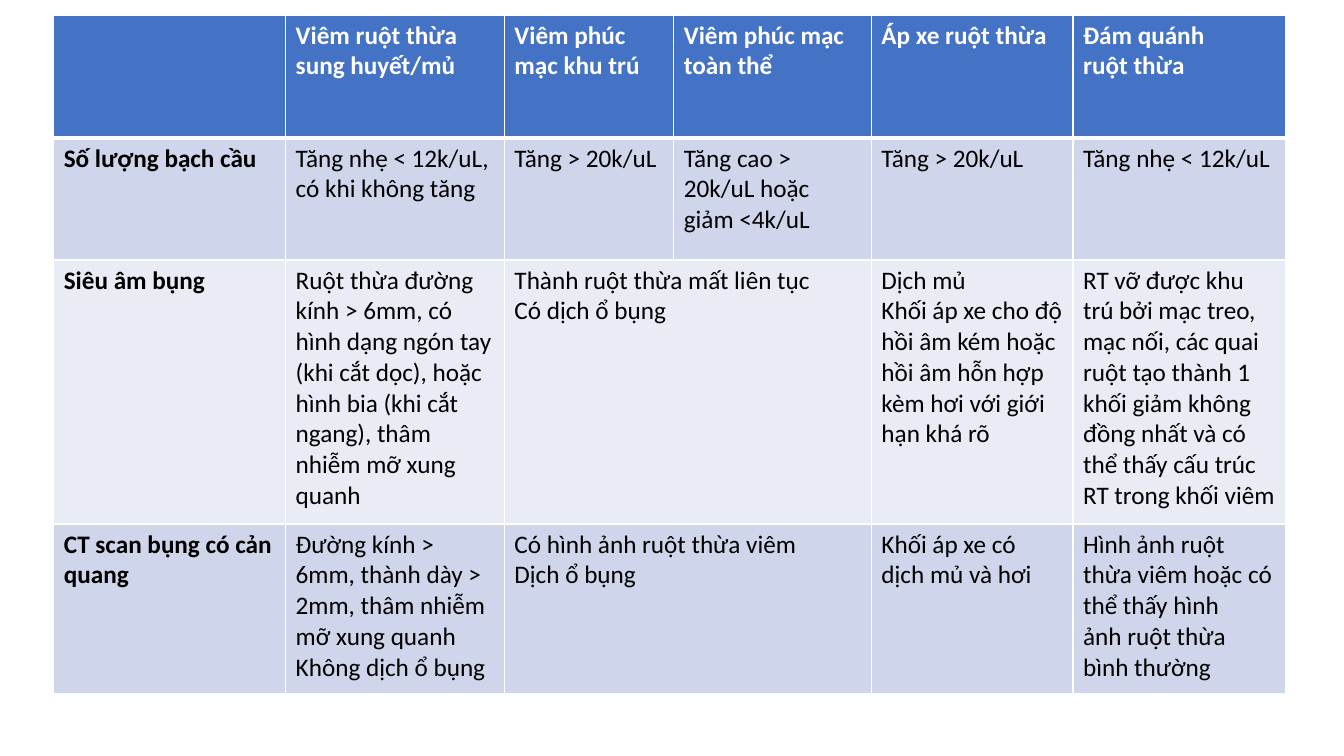
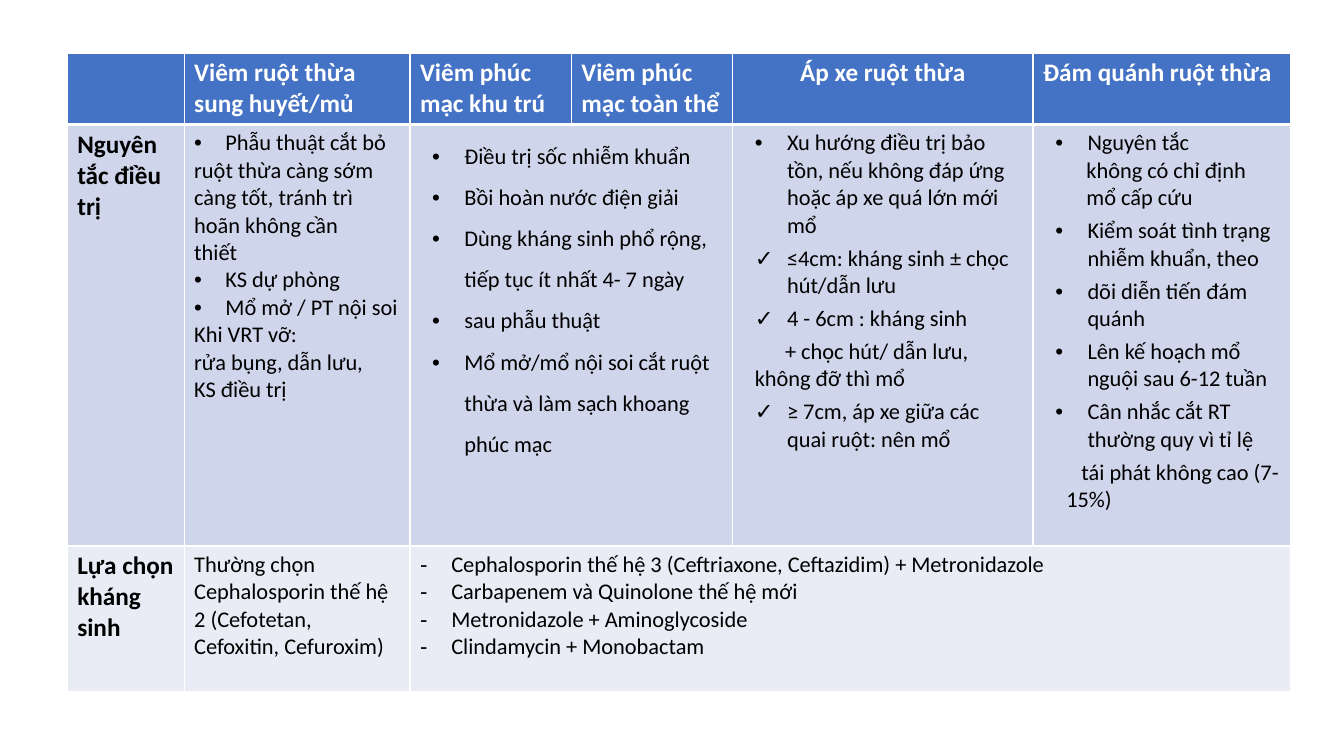
from dataclasses import dataclass

from lxml.etree import SubElement
from pptx import Presentation
from pptx.dml.color import RGBColor
from pptx.enum.text import PP_ALIGN as Align
from pptx.oxml.ns import qn
from pptx.util import Inches, Pt

W, H = 13.33, 7.5
FONT = "Calibri"
WHITE = RGBColor(0xFF, 0xFF, 0xFF)
BLACK = RGBColor(0x00, 0x00, 0x00)
HEADER = RGBColor(0x44, 0x72, 0xC4)
BANDS = (RGBColor(0xCF, 0xD5, 0xEA), RGBColor(0xE9, 0xEB, 0xF5))
TITLE_SIZE = 18
THIN, THICK = 1, 3


@dataclass
class Para:
    text: str
    bullet: str = ""
    left: float = 0
    first: float = 0
    before: float = 0
    spacing: float = 1
    align: Align = Align.LEFT


def bullets(*texts, char="•", left=0.31, first=-0.31, before=0, spacing=1):
    return [Para(t, char, left, first, before, spacing) for t in texts]


def items(*texts, char="•", before=4, spacing=1):
    return bullets(*texts, char=char, left=0.44, first=-0.32,
                   before=before, spacing=spacing)


def write_para(p, para, size, bold, color):
    p.text = para.text
    p.alignment = para.align
    p.line_spacing = para.spacing
    p.space_before = Pt(para.before)
    pPr = p._p.get_or_add_pPr()
    pPr.set("marL", str(Inches(para.left)))
    pPr.set("indent", str(Inches(para.first)))
    if para.bullet:
        SubElement(pPr, qn("a:buFont"), typeface="Arial")
        SubElement(pPr, qn("a:buChar"), char=para.bullet)
    for r in p.runs:
        r.font.name, r.font.size, r.font.bold = FONT, Pt(size), bold
        r.font.color.rgb = color
    for br in p._p.findall(qn("a:br")):
        SubElement(br, qn("a:rPr"), sz=str(size * 100))


def write_cell(cell, content, size, bold, color):
    paras = content if isinstance(content, list) else [content]
    tf = cell.text_frame
    for i, para in enumerate(paras):
        p = tf.add_paragraph() if i else tf.paragraphs[0]
        write_para(p, para if isinstance(para, Para) else Para(para),
                   size, bold, color)


def paint_cell(cell, row):
    tcPr = cell._tc.get_or_add_tcPr()
    widths = {"L": THIN, "R": THIN,
              "T": THICK if row == 1 else THIN,
              "B": THICK if row == 0 else THIN}
    for side, width in widths.items():
        ln = SubElement(tcPr, qn(f"a:ln{side}"), w=str(Pt(width)))
        fill = SubElement(ln, qn("a:solidFill"))
        SubElement(fill, qn("a:srgbClr"), val=str(WHITE))
    cell.fill.solid()
    cell.fill.fore_color.rgb = BANDS[(row - 1) % 2] if row else HEADER


def merge_gaps(tbl, row, contents):
    start = 0
    for col in range(1, len(contents) + 1):
        if col == len(contents) or contents[col] is not None:
            if col - start > 1:
                tbl.cell(row, start).merge(tbl.cell(row, col - 1))
            start = col


def add_grid(prs, x, y, widths, heights, rows, body_size):
    s = prs.slides.add_slide(prs.slide_layouts[6])
    frame = s.shapes.add_table(len(rows), len(widths), Inches(x), Inches(y),
                               Inches(sum(widths)), Inches(sum(heights)))
    tbl = frame.table
    tbl.first_row = tbl.horz_banding = False
    for column, width in zip(tbl.columns, widths):
        column.width = Inches(width)
    for i, (height, contents) in enumerate(zip(heights, rows)):
        tbl.rows[i].height = Inches(height)
        for j, content in enumerate(contents):
            cell = tbl.cell(i, j)
            paint_cell(cell, i)
            if content:
                title = i == 0 or j == 0
                write_cell(cell, content, TITLE_SIZE if title else body_size,
                           title, BLACK if i else WHITE)
        merge_gaps(tbl, i, contents)


DIAGNOSIS = [
    ["", "Viêm ruột thừa\nsung huyết/mủ", ["Viêm phúc", "mạc khu trú"],
     "Viêm phúc mạc\ntoàn thể", "Áp xe ruột thừa", "Đám quánh\nruột thừa"],
    ["Số lượng bạch cầu", "Tăng nhẹ < 12k/uL, có khi không tăng",
     "Tăng > 20k/uL", "Tăng cao > 20k/uL hoặc giảm <4k/uL",
     "Tăng > 20k/uL", "Tăng nhẹ < 12k/uL"],
    ["Siêu âm bụng",
     "Ruột thừa đường kính > 6mm, có hình dạng ngón tay (khi cắt dọc), "
     "hoặc hình bia (khi cắt ngang), thâm nhiễm mỡ xung quanh",
     ["Thành ruột thừa mất liên tục", "Có dịch ổ bụng"], None,
     "Dịch mủ\nKhối áp xe cho độ hồi âm kém hoặc hồi âm hỗn hợp kèm hơi "
     "với giới hạn khá rõ",
     "RT vỡ được khu trú bởi mạc treo, mạc nối, các quai ruột tạo thành 1 "
     "khối giảm không đồng nhất và có thể thấy cấu trúc RT trong khối viêm"],
    ["CT scan bụng có cản quang",
     ["Đường kính > 6mm, thành dày > 2mm, thâm nhiễm mỡ xung quanh",
      "Không dịch ổ bụng"],
     ["Có hình ảnh ruột thừa viêm", "Dịch ổ bụng"], None,
     "Khối áp xe có\ndịch mủ và hơi",
     "Hình ảnh ruột thừa viêm hoặc có thể thấy hình\nảnh ruột thừa\n"
     "bình thường"],
]

TREATMENT = [
    ["", ["Viêm ruột thừa", "sung huyết/mủ"], ["Viêm phúc", "mạc khu trú"],
     ["Viêm phúc", "mạc toàn thể"],
     Para("Áp xe ruột thừa", align=Align.CENTER), "Đám quánh ruột thừa"],
    ["Nguyên tắc điều trị",
     [*bullets("Phẫu thuật cắt bỏ"),
      "ruột thừa càng sớm càng tốt, tránh trì\nhoãn không cần\nthiết",
      *bullets("KS dự phòng", "Mổ mở / PT nội soi"),
      "Khi VRT vỡ:\nrửa bụng, dẫn lưu,\nKS điều trị"],
     items("Điều trị sốc nhiễm khuẩn", "Bồi hoàn nước điện giải",
           "Dùng kháng sinh phổ rộng,\ntiếp tục ít nhất 4- 7 ngày",
           "sau phẫu thuật",
           "Mổ mở/mổ nội soi cắt ruột\nthừa và làm sạch khoang\nphúc mạc",
           before=0, spacing=1.5),
     None,
     [*items("Xu hướng điều trị bảo tồn, nếu không đáp ứng hoặc áp xe "
             "quá lớn mới mổ", before=0),
      *items("≤4cm: kháng sinh ± chọc\nhút/dẫn lưu",
             "4 - 6cm : kháng sinh", char="✓"),
      Para("+ chọc hút/ dẫn lưu,\nkhông đỡ thì mổ", left=0.12, first=0.3,
           before=4),
      *items("≥ 7cm, áp xe giữa các quai ruột: nên mổ", char="✓")],
     [*items("Nguyên tắc", before=0),
      Para("không có chỉ định\nmổ cấp cứu", left=0.43),
      *items("Kiểm soát tình trạng\nnhiễm khuẩn, theo",
             "dõi diễn tiến đám quánh",
             "Lên kế hoạch mổ\nnguội sau 6-12 tuần",
             "Cân nhắc cắt RT\nthường quy vì tỉ lệ"),
      Para("tái phát không cao (7- 15%)", left=0.23, first=0.15, before=4)]],
    ["Lựa chọn kháng sinh",
     "Thường chọn Cephalosporin thế hệ 2 (Cefotetan, Cefoxitin, Cefuroxim)",
     bullets("Cephalosporin thế hệ 3 (Ceftriaxone, Ceftazidim) + Metronidazole",
             "Carbapenem và Quinolone thế hệ mới",
             "Metronidazole + Aminoglycoside",
             "Clindamycin + Monobactam", char="-"),
     None, None, None],
]


def main():
    prs = Presentation()
    prs.slide_width, prs.slide_height = Inches(W), Inches(H)
    add_grid(prs, W * 0.04, H * 0.02, [2.3, 2.17, 1.68, 1.96, 2, 2.11],
             [1.22, 1.21, 2.62, 1.68], DIAGNOSIS, 18)
    add_grid(prs, W * 0.05, H * 0.07, [1.16, 2.24, 1.6, 1.6, 2.98, 2.55],
             [0.71, 4.18, 1.45], TREATMENT, 16)
    prs.save("out.pptx")


if __name__ == "__main__":
    main()
